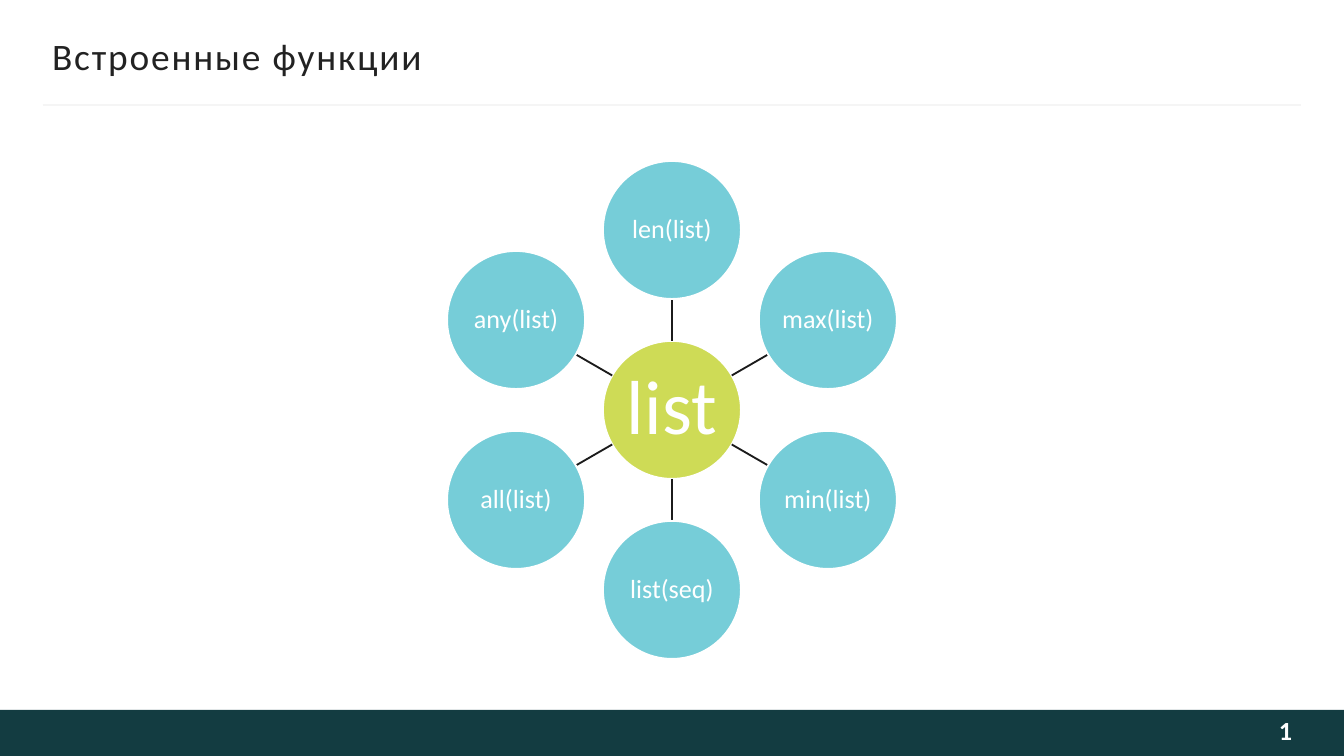
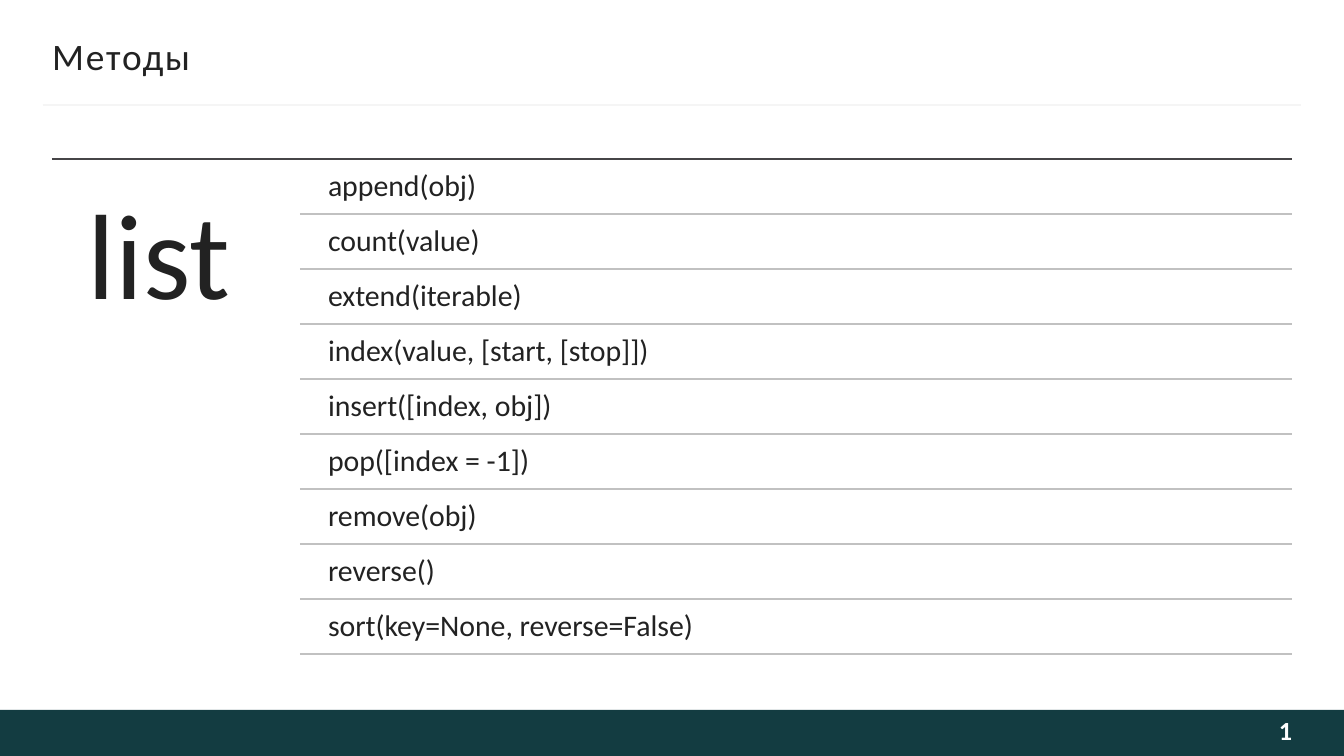
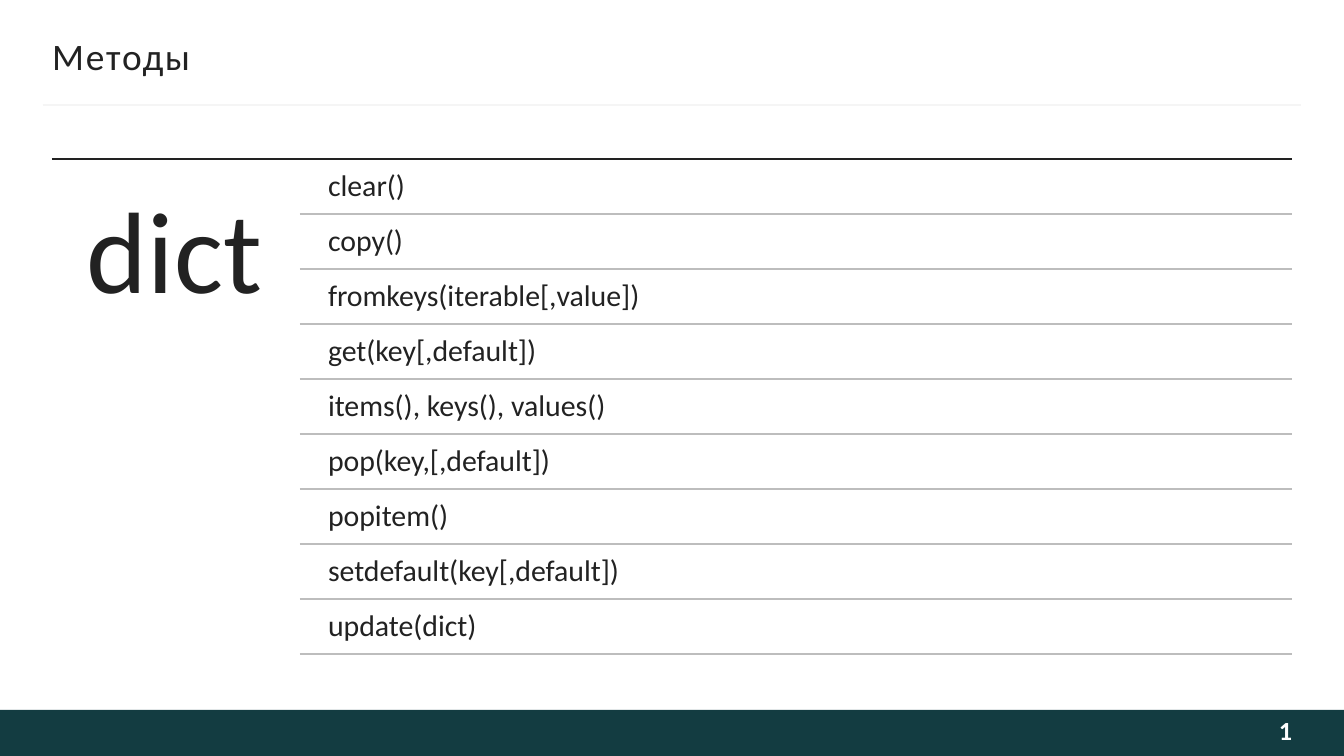
import math

import pptx
import pptx.dml.color
import pptx.enum.shapes
import pptx.enum.text
import pptx.oxml.ns
import pptx.util
from lxml import etree

# Content
FUNCTIONS = {
    "title": "Встроенные функции",
    "hub": "list",
    "calls": ["len(list)", "max(list)", "min(list)", "list(seq)", "all(list)", "any(list)"],
}
METHODS = [
    {
        "title": "Методы",
        "type": "list",
        "size": 65,
        "inset": 36,
        "top_rule": "list_top",
        "row_rule": "list_row",
        "calls": [
            "append(obj)",
            "count(value)",
            "extend(iterable)",
            "index(value, [start, [stop]])",
            "insert([index, obj])",
            "pop([index = -1])",
            "remove(obj)",
            "reverse()",
            "sort(key=None, reverse=False)",
        ],
    },
    {
        "title": "Методы",
        "type": "dict",
        "size": 62,
        "inset": 35,
        "top_rule": "text",
        "row_rule": "dict_row",
        "calls": [
            "clear()",
            "copy()",
            "fromkeys(iterable[,value])",
            "get(key[,default])",
            "items(), keys(), values()",
            "pop(key,[,default])",
            "popitem()",
            "setdefault(key[,default])",
            "update(dict)",
        ],
    },
]
PAGE_NUMBER = "1"

# Shared style
COLOURS = {
    "background": "FFFFFF",
    "footer": "133C41",
    "title_rule": "F5F5F5",
    "text": "222222",
    "page_number": "FEFEFE",
    "white": "FFFFFF",
    "hub": "CEDB56",
    "call": "76CDD8",
    "spoke": "1B1B1B",
    "list_top": "464547",
    "list_row": "C1C1C1",
    "dict_row": "BDBDBD",
}
FONT = "Calibri"
WIDTH, HEIGHT = 1344, 756
LEFT, RIGHT = 52, 1292
FOOTER_TOP = 710
EMU_PER_PX = 914400 / 134.4

ANCHOR = pptx.enum.text.MSO_ANCHOR
ALIGN = pptx.enum.text.PP_ALIGN
SHAPE = pptx.enum.shapes.MSO_SHAPE


def px(length):
    return pptx.util.Emu(round(length * EMU_PER_PX))


def colour(name):
    return pptx.dml.color.RGBColor.from_string(COLOURS[name])


def write(shape, text, size, ink, insets, align=ALIGN.LEFT, anchor=ANCHOR.TOP,
          spacing=0.9, bold=False):
    """Fill a shape with one styled line; insets are left, top, right, bottom."""
    frame = shape.text_frame
    frame.word_wrap = True
    frame.vertical_anchor = anchor
    frame.margin_left, frame.margin_top, frame.margin_right, frame.margin_bottom = map(px, insets)
    frame.text = text
    paragraph = frame.paragraphs[0]
    paragraph.alignment = align
    paragraph.line_spacing = spacing
    run = paragraph.runs[0]
    run.font.name = FONT
    run.font.size = pptx.util.Pt(size)
    run.font.bold = bold
    run.font.color.rgb = colour(ink)
    return run


def add_text(slide, box, *args, **style):
    return write(slide.shapes.add_textbox(*map(px, box)), *args, **style)


def add_shape(slide, kind, box, fill, outline=None):
    shape = slide.shapes.add_shape(kind, *map(px, box))
    shape.shadow.inherit = False
    shape.fill.solid()
    shape.fill.fore_color.rgb = colour(fill)
    if outline:
        shape.line.color.rgb = colour(outline)
        shape.line.width = pptx.util.Pt(1)
    else:
        shape.line.fill.background()
    return shape


def add_line(slide, start, end, ink, width=1):
    line = slide.shapes.add_connector(
        pptx.enum.shapes.MSO_CONNECTOR.STRAIGHT, *map(px, start + end))
    line.line.color.rgb = colour(ink)
    line.line.width = pptx.util.Pt(width)
    etree.SubElement(line._element.spPr, pptx.oxml.ns.qn("a:effectLst"))


def add_slide(presentation, title):
    """Start a slide with the shared title, rule, footer band and number."""
    slide = presentation.slides.add_slide(presentation.slide_layouts[6])
    slide.background.fill.solid()
    slide.background.fill.fore_color.rgb = colour("background")
    footer_height = HEIGHT - FOOTER_TOP
    add_shape(slide, SHAPE.RECTANGLE, (0, FOOTER_TOP, WIDTH, footer_height), "footer")
    add_line(slide, (43, 105), (1301, 105), "title_rule", 1.5)
    run = add_text(slide, (LEFT, 34, RIGHT - LEFT, 44), title, 20, "text", (0, 7, 0, 7),
                   anchor=ANCHOR.MIDDLE, spacing=1.0)
    run._r.get_or_add_rPr().set("spc", "100")
    add_text(slide, (RIGHT - 202, FOOTER_TOP, 202, footer_height), PAGE_NUMBER, 14,
             "page_number", (13, 7, 0, 12), align=ALIGN.RIGHT, anchor=ANCHOR.MIDDLE,
             spacing=1.0, bold=True)
    return slide


def add_circle(slide, centre, radius, text, size, fill, inset):
    x, y = centre
    circle = add_shape(slide, SHAPE.OVAL, (x - radius, y - radius, 2 * radius, 2 * radius),
                       fill, "white")
    write(circle, text, size, "white", [inset] * 4, align=ALIGN.CENTER, anchor=ANCHOR.MIDDLE)


def add_functions_slide(presentation, content):
    slide = add_slide(presentation, content["title"])
    hub, radius, orbit = (672, 410), 69, 180

    def on_ray(angle, distance):
        return hub[0] + distance * math.sin(angle), hub[1] - distance * math.cos(angle)

    add_circle(slide, hub, radius, content["hub"], 41, "hub", 3)
    # Calls go clockwise from the top, each joined to the hub by a spoke
    for index, call in enumerate(content["calls"]):
        angle = 2 * math.pi * index / len(content["calls"])
        add_line(slide, on_ray(angle, radius), on_ray(angle, orbit - radius), "spoke")
        add_circle(slide, on_ray(angle, orbit), radius, call, 14, "call", 1)


def add_methods_slide(presentation, content):
    slide = add_slide(presentation, content["title"])
    top, row_left, text_left, pitch = 159, 300, 319, 55
    add_line(slide, (LEFT, top), (RIGHT, top), content["top_rule"])
    add_text(slide, (LEFT, top, row_left - LEFT, 500), content["type"], content["size"],
             "text", [content["inset"]] * 4)
    # One text and one rule below it per method
    for index, call in enumerate(content["calls"]):
        row_top = top + pitch * index
        add_text(slide, (text_left, row_top + 3, RIGHT - text_left, pitch - 3), call, 16,
                 "text", [9] * 4)
        add_line(slide, (row_left, row_top + pitch), (RIGHT, row_top + pitch),
                 content["row_rule"])


def main():
    presentation = pptx.Presentation()
    presentation.slide_width = px(WIDTH)
    presentation.slide_height = px(HEIGHT)
    add_functions_slide(presentation, FUNCTIONS)
    for content in METHODS:
        add_methods_slide(presentation, content)
    presentation.save("out.pptx")


if __name__ == "__main__":
    main()
